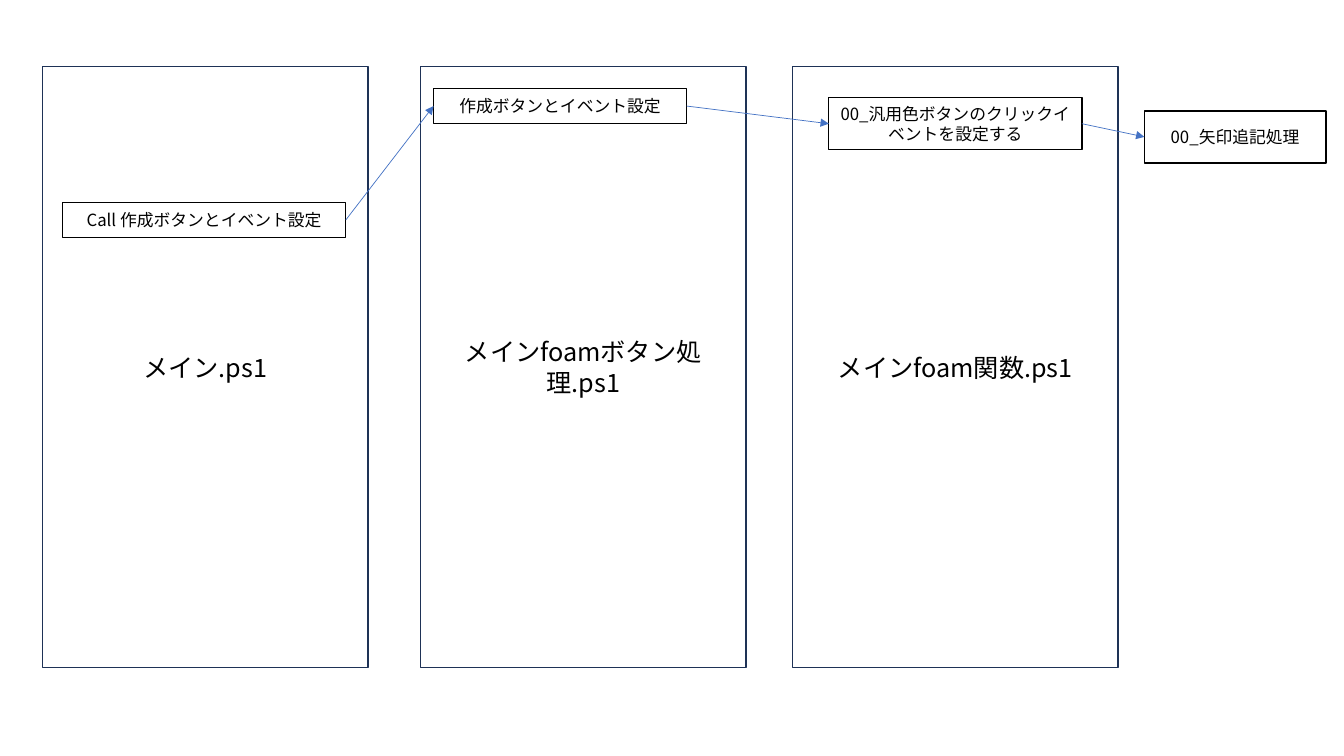
from itertools import pairwise
from lxml.etree import SubElement as Sub
from pptx import Presentation as Deck
from pptx.dml.color import RGBColor as Rgb
from pptx.enum.lang import MSO_LANGUAGE_ID as Lang
from pptx.enum.shapes import MSO_CONNECTOR as Link, MSO_SHAPE as Kind
from pptx.enum.text import MSO_ANCHOR as Anchor, PP_ALIGN as Align
from pptx.oxml.ns import qn
from pptx.util import Inches, Pt


class Chart:
    """Draw a flow of calls between script files, placed in percent of the slide."""

    font = "Noto Sans CJK JP"
    hues = {"ink": "000000", "paper": "FFFFFF", "frame": "1E3256", "arrow": "4472C4"}

    def __init__(self, deck):
        self.wide, self.high = deck.slide_width, deck.slide_height
        self.slide = deck.slides.add_slide(deck.slide_layouts[6])

    def hue(self, name):
        return Rgb.from_string(self.hues[name])

    def box(self, text, left, top, width, height, size, edge, fill=None):
        shape = self.slide.shapes.add_shape(
            Kind.RECTANGLE,
            round(self.wide * left / 100), round(self.high * top / 100),
            round(self.wide * width / 100), round(self.high * height / 100))
        shape.shadow.inherit = False
        if fill:
            shape.fill.solid()
            shape.fill.fore_color.rgb = self.hue(fill)
        else:
            shape.fill.background()
        shape.line.color.rgb = self.hue(edge)
        shape.line.width = Pt(1)
        frame = shape.text_frame
        frame.text = text
        frame.word_wrap = True
        frame.vertical_anchor = Anchor.MIDDLE
        para = frame.paragraphs[0]
        para.alignment = Align.CENTER
        font = para.runs[0].font
        font.size = Pt(size)
        font.color.rgb = self.hue("ink")
        font.name = self.font
        font.language_id = Lang.JAPANESE
        Sub(para.runs[0].font._element, qn("a:ea"), typeface=self.font)
        return shape

    def file(self, text, left):
        return self.box(text, left, 8.8, 24.23, 79.47, 18, "frame")

    def step(self, text, left, top, width, height):
        return self.box(text, left, top, width, height, 12, "ink", "paper")

    def arrow(self, start, end):
        line = self.slide.shapes.add_connector(Link.STRAIGHT, 0, 0, 0, 0)
        line.begin_connect(start, 3)
        line.end_connect(end, 1)
        line.line.color.rgb = self.hue("arrow")
        line.line.width = Pt(0.5)
        Sub(line.line._get_or_add_ln(), qn("a:tailEnd"), type="triangle")
        Sub(line._element.spPr, qn("a:effectLst"))


def main():
    deck = Deck()
    deck.slide_width, deck.slide_height = Inches(13.33), Inches(7.5)
    chart = Chart(deck)
    files = [("メイン.ps1", 3.15), ("メインfoamボタン処理.ps1", 31.28),
             ("メインfoam関数.ps1", 58.96)]
    for text, left in files:
        chart.file(text, left)
    steps = [("Call 作成ボタンとイベント設定", 4.65, 26.8, 21.08, 4.6),
             ("作成ボタンとイベント設定", 32.26, 11.73, 18.83, 4.6),
             ("00_汎用色ボタンのクリックイベントを設定する", 61.67, 12.93, 18.83, 6.87),
             ("00_矢印追記処理", 85.15, 14.67, 13.5, 6.87)]
    boxes = [chart.step(*step) for step in steps]
    for start, end in pairwise(boxes):
        chart.arrow(start, end)
    deck.save("out.pptx")


if __name__ == "__main__":
    main()
